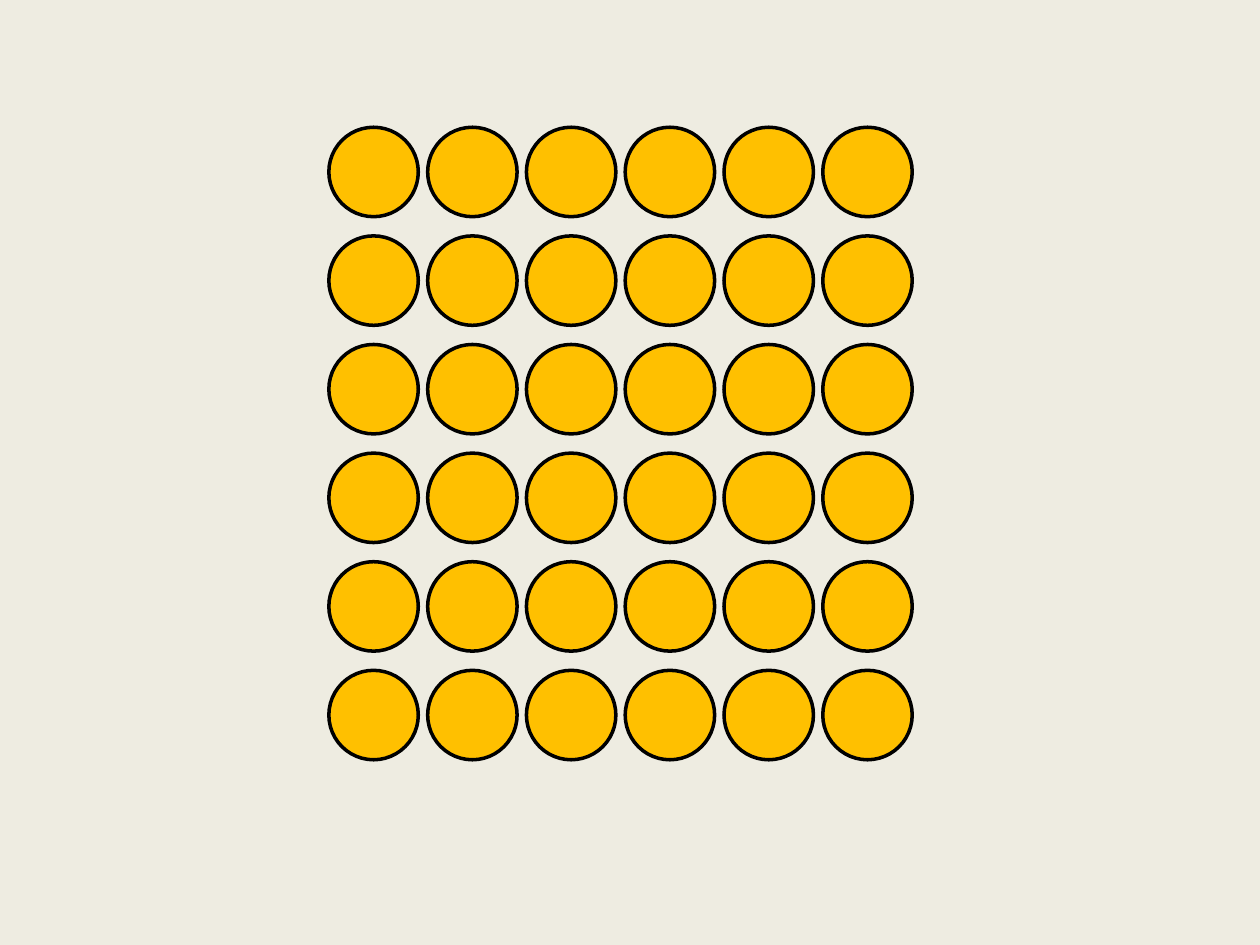
from dataclasses import dataclass
from itertools import product

from pptx import Presentation
from pptx.dml.color import RGBColor
from pptx.enum.shapes import MSO_SHAPE
from pptx.util import Inches, Pt


@dataclass(frozen=True)
class Theme:
    background: RGBColor = RGBColor(0xEE, 0xEC, 0xE1)
    counter: RGBColor = RGBColor(0xFF, 0xC0, 0x00)
    outline: RGBColor = RGBColor(0x00, 0x00, 0x00)
    outline_width: int = Pt(2)


@dataclass(frozen=True)
class Grid:
    """Evenly spaced cells from the first to the last column and row, in inches."""
    columns: int = 6
    rows: int = 6
    first_left: float = 2.61
    last_left: float = 6.53
    first_top: float = 1.01
    last_top: float = 5.32
    diameter: float = 0.71

    def corner(self, row, column):
        column_step = (self.last_left - self.first_left) / (self.columns - 1)
        row_step = (self.last_top - self.first_top) / (self.rows - 1)
        return (Inches(self.first_left + column * column_step),
                Inches(self.first_top + row * row_step))


THEME = Theme()
GRID = Grid()


def paint_background(slide):
    fill = slide.background.fill
    fill.solid()
    fill.fore_color.rgb = THEME.background


def add_counter(slide, row, column):
    left, top = GRID.corner(row, column)
    diameter = Inches(GRID.diameter)
    counter = slide.shapes.add_shape(MSO_SHAPE.OVAL, left, top, diameter, diameter)
    counter.shadow.inherit = False
    counter.fill.solid()
    counter.fill.fore_color.rgb = THEME.counter
    counter.line.color.rgb = THEME.outline
    counter.line.width = THEME.outline_width


def main():
    presentation = Presentation()
    presentation.slide_width = Inches(10)
    presentation.slide_height = Inches(7.5)
    slide = presentation.slides.add_slide(presentation.slide_layouts[6])
    paint_background(slide)
    for row, column in product(range(GRID.rows), range(GRID.columns)):
        add_counter(slide, row, column)
    presentation.save("out.pptx")


if __name__ == "__main__":
    main()
